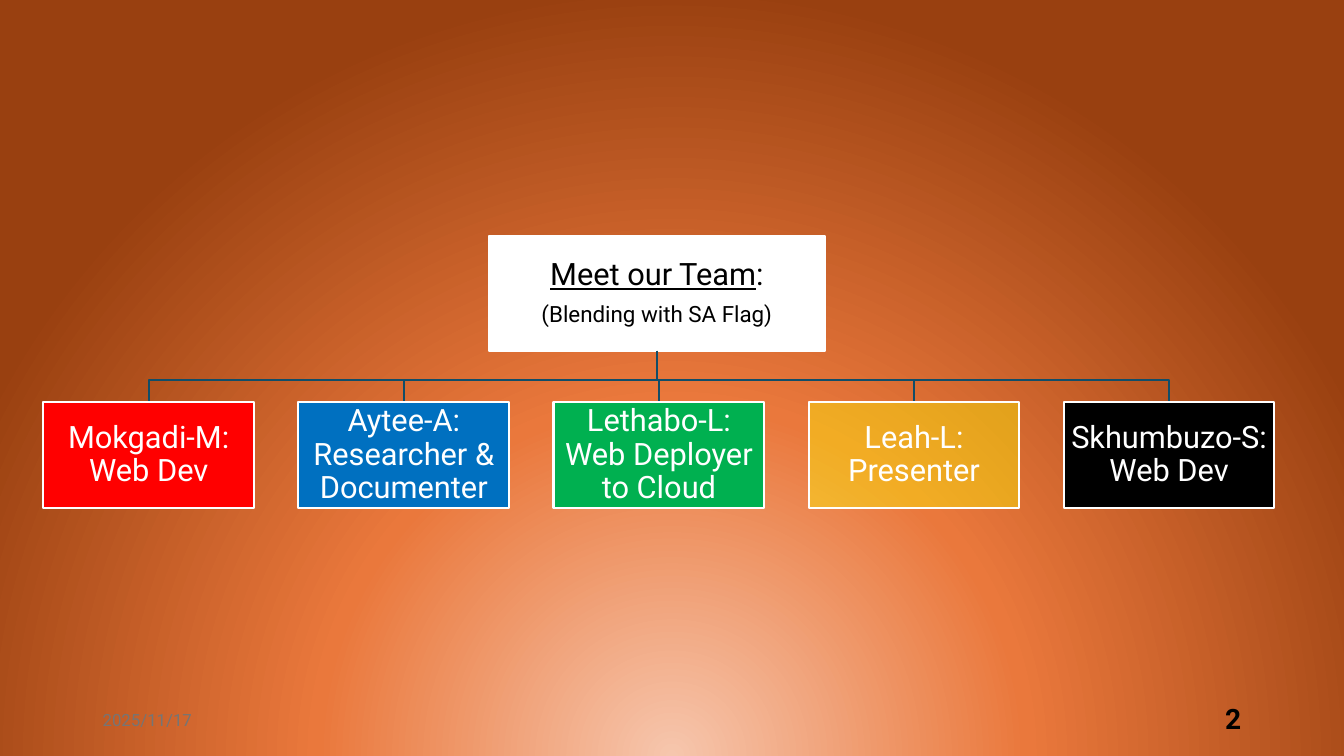
import pptx
import pptx.util
import pptx.dml.color
import pptx.enum.dml
import pptx.enum.shapes
import pptx.enum.text
import pptx.oxml
import pptx.oxml.ns
from lxml import etree

HEADING = [
    [("Meet our Team", True), (":", False)],
    [("(Blending with SA Flag)", False)],
]
MEMBERS = [
    ("Mokgadi-M: Web Dev", "FF0000", 100),
    ("Aytee-A: Researcher & Documenter", "0070C0", 100),
    ("Lethabo-L: Web Deployer to Cloud", "00B050", 100),
    ("Leah-L: Presenter", "FFFF00", 39),
    ("Skhumbuzo-S: Web Dev", "000000", 100),
]
DATE = "2025/11/17"
NUMBER = "2"

THEME = {
    "font": "Roboto",
    "dark": "000000",
    "light": "FFFFFF",
    "muted": "757575",
    "branch": "114D68",
    "glow": [(0, "F6C6AD"), (46, "EA783C"), (100, "994010")],
    "line": 1.5,
    "name": 22,
    "note": 16,
    "number": 20,
    "date": 12,
}

WIDTH, HEIGHT = 13.33, 7.5
ROOT = (4.85, 2.34, 3.33, 1.14)
FIRST_LEFT, ROW_TOP, PITCH = 0.43, 3.99, 2.53
CARD_WIDTH, CARD_HEIGHT = 2.09, 1.05
RAIL = 3.77
FOOTER_TOP, FOOTER_WIDTH, FOOTER_HEIGHT = 6.95, 3, 0.4

ALIGN = pptx.enum.text.PP_ALIGN
inches = pptx.util.Inches


def color(code):
    return pptx.dml.color.RGBColor.from_string(code)


def assign(target, values):
    for name, value in values.items():
        setattr(target, name, value)


def place(shape, box):
    assign(shape, dict(zip(("left", "top", "width", "height"), map(inches, box))))


def outline(shape, code):
    shape.line.color.rgb = color(code)
    shape.line.width = pptx.util.Pt(THEME["line"])


def paint(shape, code, opacity=100):
    shape.fill.solid()
    shape.fill.fore_color.rgb = color(code)
    outline(shape, THEME["light"])
    if opacity < 100:
        tint = shape.fill._xPr.find(".//" + pptx.oxml.ns.qn("a:srgbClr"))
        etree.SubElement(tint, pptx.oxml.ns.qn("a:alpha"), val=str(opacity * 1000))


def setup_frame(frame, side=0.02, edge=0.02):
    assign(frame, {
        "word_wrap": True,
        "auto_size": pptx.enum.text.MSO_AUTO_SIZE.NONE,
        "vertical_anchor": pptx.enum.text.MSO_ANCHOR.MIDDLE,
        "margin_left": inches(side),
        "margin_right": inches(side),
        "margin_top": inches(edge),
        "margin_bottom": inches(edge),
    })


def write(para, text, size, code, align=ALIGN.CENTER, **formats):
    assign(para, {"alignment": align, "line_spacing": 0.9})
    span = para.add_run()
    span.text = text
    assign(span.font, {"name": THEME["font"], "size": pptx.util.Pt(size), **formats})
    span.font.color.rgb = color(code)


def paint_background(page):
    page.background.fill.solid()
    solid = page.element.find(".//" + pptx.oxml.ns.qn("p:bgPr"))[0]
    stops = "".join(
        f'<a:gs pos="{position * 1000}"><a:srgbClr val="{code}"/></a:gs>'
        for position, code in THEME["glow"]
    )
    gradient = pptx.oxml.parse_xml(
        f'<a:gradFill {pptx.oxml.ns.nsdecls("a")} rotWithShape="1"><a:gsLst>{stops}</a:gsLst>'
        '<a:path path="circle"><a:fillToRect l="50000" t="130000" r="50000" b="-30000"/>'
        "</a:path></a:gradFill>"
    )
    solid.getparent().replace(solid, gradient)


def add_branch(page, target):
    left, top, width, height = ROOT
    center = left + width / 2
    builder = page.shapes.build_freeform(inches(center), inches(top + height))
    corners = [(center, RAIL), (target, RAIL), (target, ROW_TOP)]
    builder.add_line_segments([(inches(x), inches(y)) for x, y in corners], close=False)
    branch = builder.convert_to_shape()
    branch.shadow.inherit = False
    branch.fill.background()
    outline(branch, THEME["branch"])


def add_heading(page):
    title = page.shapes.title
    place(title, ROOT)
    paint(title, THEME["light"])
    frame = title.text_frame
    setup_frame(frame)
    paras = [frame.paragraphs[0], frame.add_paragraph()]
    for para, spans, size in zip(paras, HEADING, (THEME["name"], THEME["note"])):
        for text, underline in spans:
            write(para, text, size, THEME["dark"], underline=underline)
    paras[0].space_after = pptx.util.Pt(7.7)


def add_card(page, left, text, code, opacity):
    box = map(inches, (left, ROW_TOP, CARD_WIDTH, CARD_HEIGHT))
    card = page.shapes.add_shape(pptx.enum.shapes.MSO_SHAPE.RECTANGLE, *box)
    card.shadow.inherit = False
    paint(card, code, opacity)
    setup_frame(card.text_frame)
    write(card.text_frame.paragraphs[0], text, THEME["name"], THEME["light"])


def add_footer(page, left, text, size, code, align, bold):
    box = map(inches, (left, FOOTER_TOP, FOOTER_WIDTH, FOOTER_HEIGHT))
    frame = page.shapes.add_textbox(*box).text_frame
    setup_frame(frame, 0.1, 0.05)
    write(frame.paragraphs[0], text, size, code, align, bold=bold)


def main():
    deck = pptx.Presentation()
    assign(deck, {"slide_width": inches(WIDTH), "slide_height": inches(HEIGHT)})
    page = deck.slides.add_slide(deck.slide_layouts[5])
    paint_background(page)
    add_heading(page)
    lefts = [FIRST_LEFT + PITCH * column for column in range(len(MEMBERS))]
    for left in lefts:
        add_branch(page, left + CARD_WIDTH / 2)
    for left, member in zip(lefts, MEMBERS):
        add_card(page, left, *member)
    margin = 0.92
    add_footer(page, margin, DATE, THEME["date"], THEME["muted"], ALIGN.LEFT, False)
    add_footer(page, WIDTH - margin - FOOTER_WIDTH, NUMBER, THEME["number"],
               THEME["dark"], ALIGN.RIGHT, True)
    deck.save("out.pptx")


if __name__ == "__main__":
    main()
